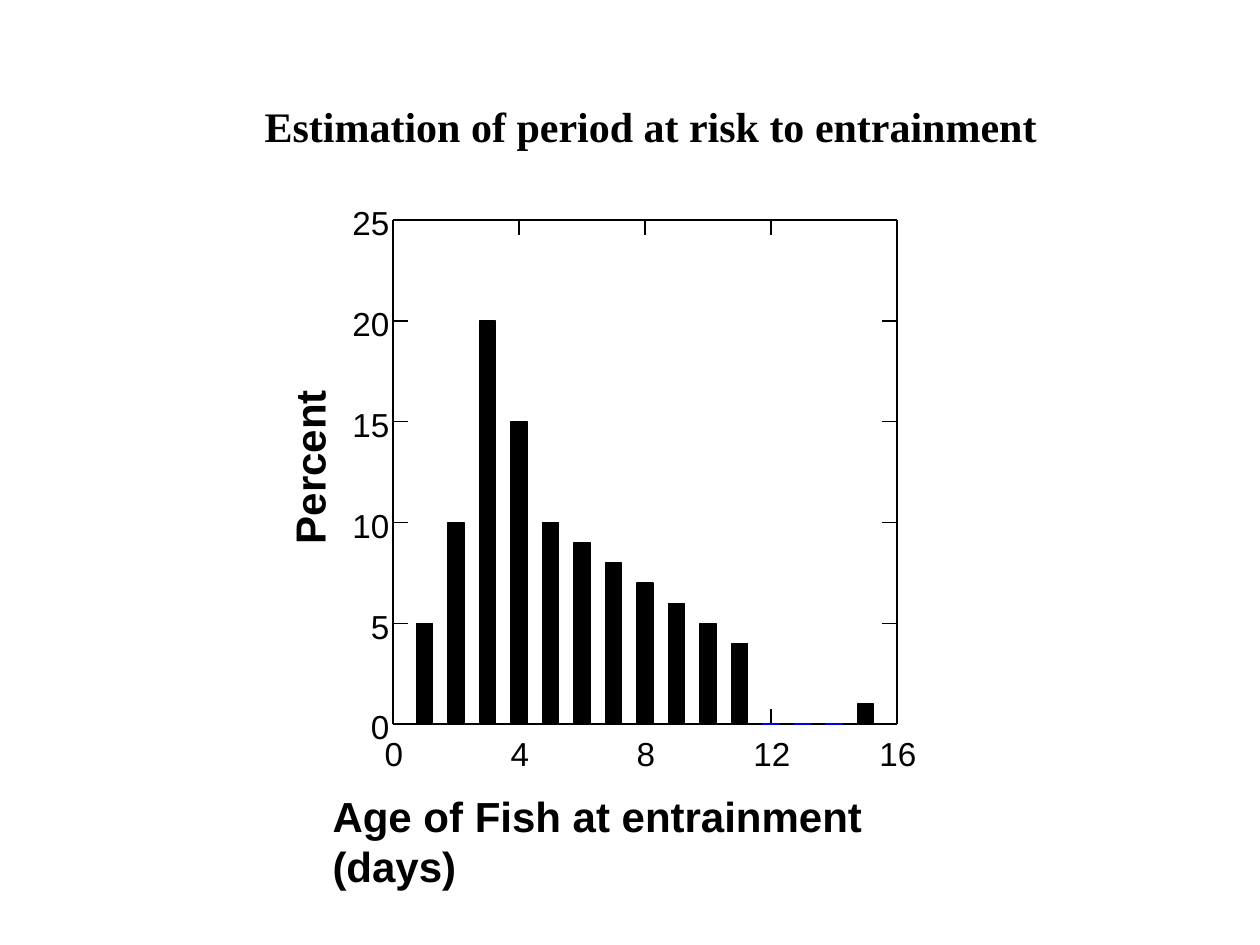
from lxml.etree import SubElement
from pptx import Presentation
from pptx.dml.color import RGBColor
from pptx.enum.shapes import MSO_CONNECTOR, MSO_SHAPE
from pptx.enum.text import MSO_ANCHOR, PP_ALIGN
from pptx.oxml.ns import qn
from pptx.util import Pt

BLACK = RGBColor(0x00, 0x00, 0x00)
BLUE = RGBColor(0x00, 0x00, 0xF2)
LEFT, TOP, SIDE = 224.6, 125.8, 288
RIGHT, BASE = LEFT + SIDE, TOP + SIDE
DAY, UNIT = SIDE / 16, SIDE / 25
TICK, BAR = 8.64, 9
SHARES = [5, 10, 20, 15, 10, 9, 8, 7, 6, 5, 4, 0, 0, 0, 1]


def write(frame, text, size=19, font="Arial", bold=False,
          align=PP_ALIGN.LEFT, wrap=True, inset=(0, 0)):
    """Fill a text frame with one formatted paragraph."""
    frame.word_wrap = wrap
    frame.vertical_anchor = MSO_ANCHOR.TOP
    frame.margin_left = frame.margin_right = Pt(inset[0])
    frame.margin_top = frame.margin_bottom = Pt(inset[1])
    para = frame.paragraphs[0]
    para.alignment = align
    run = para.add_run()
    run.text = text
    run.font.size, run.font.name, run.font.bold = Pt(size), font, bold
    run.font.color.rgb = BLACK


class Graph:
    """Hold the line style and the slide that the graph is drawn on."""

    def __init__(self, slide, weight=0.75):
        self.slide, self.weight = slide, Pt(weight)

    def title(self, text, x, y, wide, high):
        """Place the slide title."""
        head = self.slide.shapes.title
        head.left, head.top, head.width, head.height = map(Pt, (x, y, wide, high))
        write(head.text_frame, text, size=24, font="Times New Roman",
              bold=True, wrap=False, inset=(7.2, 3.6))

    def label(self, text, x, y, wide, high=23, turn=0, **style):
        """Add a text box."""
        box = self.slide.shapes.add_textbox(Pt(x), Pt(y), Pt(wide), Pt(high))
        box.rotation = turn
        write(box.text_frame, text, **style)

    def line(self, *ends):
        """Draw a straight line."""
        rule = self.slide.shapes.add_connector(MSO_CONNECTOR.STRAIGHT, *map(Pt, ends))
        rule.line.color.rgb, rule.line.width = BLACK, self.weight
        SubElement(rule._element.spPr, qn("a:effectLst"))

    def bar(self, day, share):
        """Draw the bar for one day of age."""
        high = share * UNIT
        x = LEFT + day * DAY - BAR / 2
        bar = self.slide.shapes.add_shape(
            MSO_SHAPE.RECTANGLE, Pt(x), Pt(BASE - high), Pt(BAR), Pt(high))
        bar.shadow.inherit = False
        bar.fill.solid()
        bar.fill.fore_color.rgb = bar.line.color.rgb = BLACK if share else BLUE
        bar.line.width = self.weight


def main():
    """Build and save the slide."""
    deck = Presentation()
    deck.slide_width, deck.slide_height = Pt(720), Pt(540)
    graph = Graph(deck.slides.add_slide(deck.slide_layouts[5]))
    graph.title("Estimation of period at risk to entrainment", 144, 54, 456, 36)

    for y, step in ((BASE, -TICK), (TOP, TICK)):
        graph.line(LEFT, y, RIGHT, y)
        for day in range(0, 17, 4):
            x = LEFT + day * DAY
            graph.line(x, y, x, y + step)
    for x, step in ((LEFT, TICK), (RIGHT, -TICK)):
        graph.line(x, BASE, x, TOP)
        for share in range(0, 26, 5):
            y = BASE - share * UNIT
            graph.line(x, y, x + step, y)

    for day in range(0, 17, 4):
        graph.label(str(day), LEFT + day * DAY - 10.5, 419, 22, align=PP_ALIGN.CENTER)
    for share in range(0, 26, 5):
        graph.label(str(share), 200.5, BASE - share * UNIT - 10, 22,
                    align=PP_ALIGN.RIGHT)
    graph.label("Age of Fish at entrainment (days)", 190, 451.5, 372, 56,
                size=24, bold=True)
    graph.label("Percent", 126.5, 246.5, 100, 29, turn=270, size=24, bold=True)

    for day, share in enumerate(SHARES, 1):
        graph.bar(day, share)
    deck.save("out.pptx")


if __name__ == "__main__":
    main()
